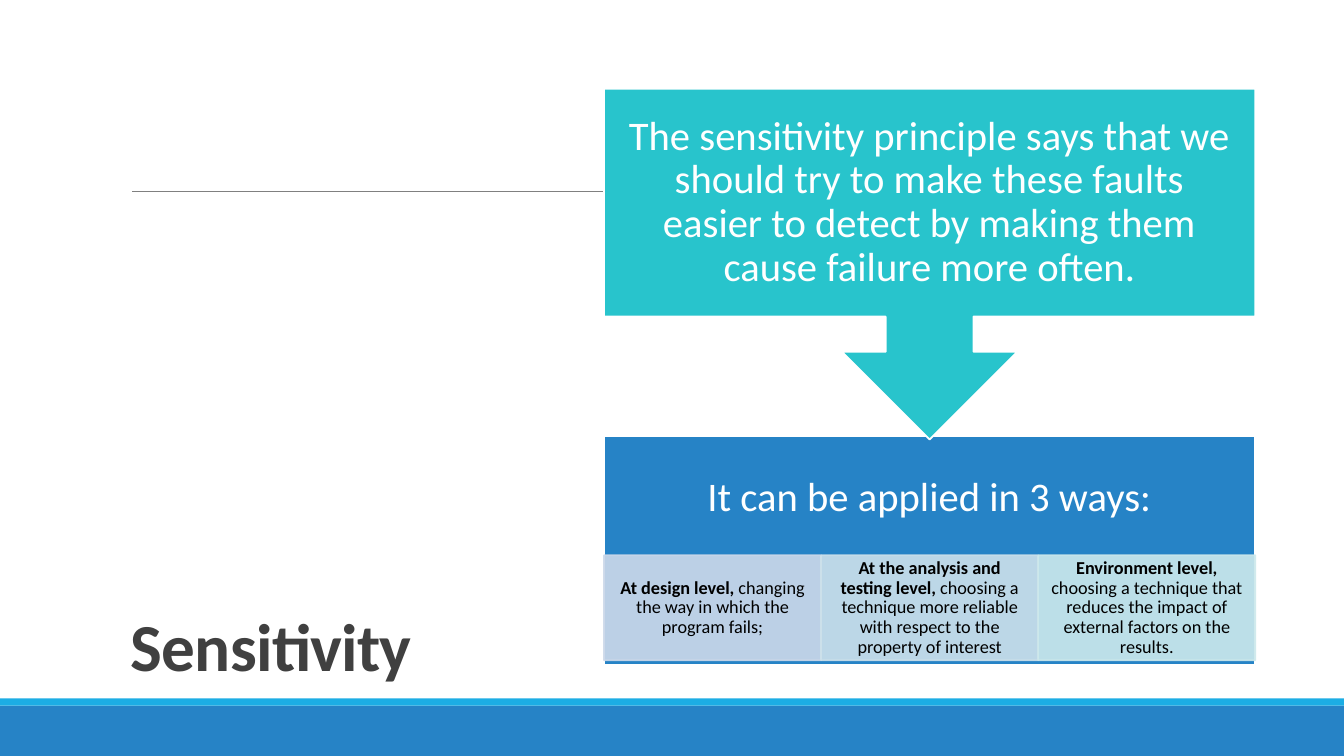
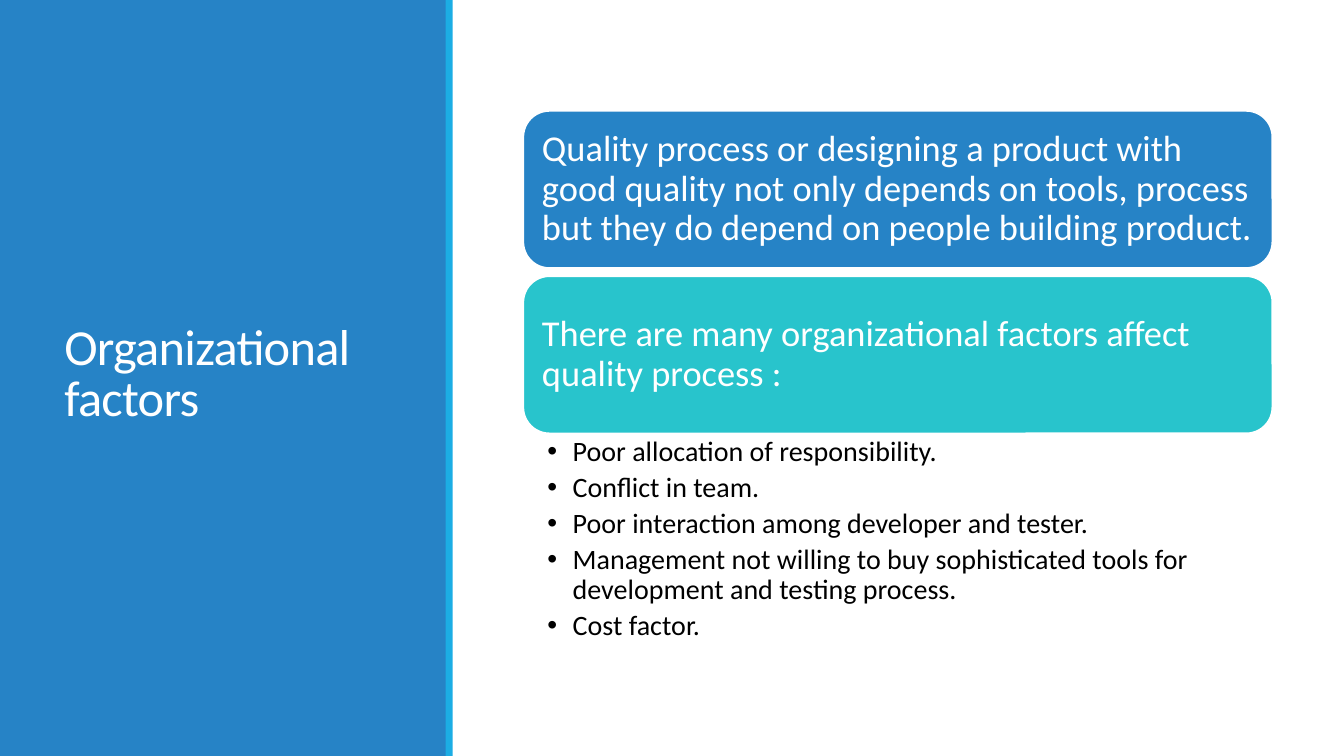
from dataclasses import dataclass
from typing import Optional

from lxml.etree import SubElement
from pptx import Presentation
from pptx.dml.color import RGBColor
from pptx.enum.shapes import MSO_CONNECTOR, MSO_SHAPE
from pptx.enum.text import MSO_ANCHOR, PP_ALIGN
from pptx.oxml.ns import qn
from pptx.util import Inches, Pt

COLORS = {
    "blue": "2683C6",
    "sky": "1CADE4",
    "teal": "28C4CC",
    "white": "FFFFFF",
    "black": "000000",
    "title": "404040",
    "rule": "808080",
    "tile_blue": "CDD9EA",
    "tile_mid": "CDE1EB",
    "tile_teal": "CDE9EC",
}
FONT = "Calibri"
SLIDE_WIDTH, SLIDE_HEIGHT = 13.33, 7.5
ACCENT = 0.07  # thickness of the sky-blue strip beside each band


@dataclass
class Box:
    left: float
    top: float
    width: float
    height: float

    def lengths(self):
        return [Inches(value) for value in (self.left, self.top, self.width, self.height)]


@dataclass
class TextStyle:
    size: float
    color: str = "white"
    align: PP_ALIGN = PP_ALIGN.LEFT
    anchor: MSO_ANCHOR = MSO_ANCHOR.MIDDLE
    insets: tuple = (0.1, 0.05, 0.1, 0.05)  # left, top, right, bottom
    line_spacing: float = 0.9
    character_spacing: int = 0  # hundredths of a point
    space_after: float = 0
    bullet: bool = False


@dataclass
class Span:
    text: str
    bold: bool = False


@dataclass
class Tile:
    color: str
    lead: str
    detail: str


def rgb(name: str) -> RGBColor:
    return RGBColor.from_string(COLORS[name])


def add_bullet(paragraph) -> None:
    properties = paragraph._p.get_or_add_pPr()
    properties.set("marL", str(Inches(0.25)))
    properties.set("indent", str(Inches(-0.25)))
    SubElement(properties, qn("a:buFont"), typeface="Arial")
    SubElement(properties, qn("a:buChar"), char="•")


def write(shape, paragraphs: list[list[Span]], style: TextStyle) -> None:
    frame = shape.text_frame
    frame.word_wrap = True
    frame.vertical_anchor = style.anchor
    (frame.margin_left, frame.margin_top,
     frame.margin_right, frame.margin_bottom) = map(Inches, style.insets)
    for index, spans in enumerate(paragraphs):
        paragraph = frame.add_paragraph() if index else frame.paragraphs[0]
        if style.bullet:
            add_bullet(paragraph)
        paragraph.alignment = style.align
        paragraph.line_spacing = style.line_spacing
        paragraph.space_after = Pt(style.space_after)
        for span in spans:
            run = paragraph.add_run()
            run.text = span.text
            run.font.name = FONT
            run.font.size = Pt(style.size)
            run.font.bold = span.bold
            run.font.color.rgb = rgb(style.color)
            if style.character_spacing:
                run._r.get_or_add_rPr().set("spc", str(style.character_spacing))


def add_text(slide, box: Box, paragraphs: list[list[Span]], style: TextStyle) -> None:
    write(slide.shapes.add_textbox(*box.lengths()), paragraphs, style)


def add_block(slide, box: Box, fill: str, kind=MSO_SHAPE.RECTANGLE,
              line: Optional[str] = None, opacity: int = 100):
    shape = slide.shapes.add_shape(kind, *box.lengths())
    shape.shadow.inherit = False
    shape.fill.solid()
    shape.fill.fore_color.rgb = rgb(fill)
    if line:
        shape.line.color.rgb = rgb(line)
        shape.line.width = Pt(1.25)
    else:
        shape.line.fill.background()
    if opacity < 100:
        for color in shape._element.spPr.iter(qn("a:srgbClr")):
            SubElement(color, qn("a:alpha"), val=str(opacity * 1000))
    return shape


def add_band(slide, band: Box, strip: Box) -> None:
    add_block(slide, band, "blue")
    add_block(slide, strip, "sky")


def add_title(slide, box: Box, text: str, size: float, color: str,
              align: PP_ALIGN, anchor: MSO_ANCHOR, bold: bool = False) -> None:
    style = TextStyle(size, color, align, anchor, line_spacing=0.85, character_spacing=-50)
    add_text(slide, box, [[Span(text, bold)]], style)


def add_rule(slide, left: float, right: float, top: float) -> None:
    rule = slide.shapes.add_connector(
        MSO_CONNECTOR.STRAIGHT, Inches(left), Inches(top), Inches(right), Inches(top))
    rule.line.color.rgb = rgb("rule")
    rule.line.width = Pt(0.5)
    SubElement(rule._element.spPr, qn("a:effectLst"))


TILES = [
    Tile("tile_blue", "At design level, ", "changing the way in which the program fails;"),
    Tile("tile_mid", "At the analysis and testing level, ",
         "choosing a technique more reliable with respect to the property of interest"),
    Tile("tile_teal", "Environment level, ",
         "choosing a technique that reduces the impact of external factors on the results."),
]
CARDS = [
    ("blue", "Quality process or designing a product with good quality not only depends "
             "on tools, process but they do depend on people building product."),
    ("teal", "There are many organizational factors affect quality process :"),
]
FACTORS = [
    "Poor allocation of responsibility.",
    "Conflict in team.",
    "Poor interaction among developer and tester.",
    "Management not willing to buy sophisticated tools for development and testing process.",
    "Cost factor.",
]


def build_sensitivity(slide) -> None:
    # Bottom band, rule and title
    add_band(slide, Box(0, 7, SLIDE_WIDTH, 0.5), Box(0, 7 - ACCENT, SLIDE_WIDTH, ACCENT))
    add_rule(slide, 1.31, 12.21, 1.9)
    add_title(slide, Box(0.63, 0.61, 4.12, 6.24), "Sensitivity", 48, "title",
              PP_ALIGN.CENTER, MSO_ANCHOR.BOTTOM, bold=True)

    # Blue panel: heading above the three tiles
    left, width, pad = 5.99, 6.46, 0.23
    panel = add_block(slide, Box(left, 4.33, width, 2.27), "blue", line="white")
    write(panel, [[Span("It can be applied in 3 ways:")]],
          TextStyle(29, align=PP_ALIGN.CENTER, insets=(pad, pad, pad, 1.28)))

    tile_width = width / len(TILES)
    tile_style = TextStyle(13, "black", PP_ALIGN.CENTER, insets=(0.1, 0.02, 0.1, 0.02))
    for index, tile in enumerate(TILES):
        box = Box(left + index * tile_width, 5.51, tile_width, 1.04)
        shape = add_block(slide, box, tile.color, line=tile.color, opacity=90)
        write(shape, [[Span(tile.lead, True), Span(tile.detail)]], tile_style)

    # Principle, pointing down to the panel
    callout = add_block(slide, Box(left, 0.88, width, 3.48), "teal",
                        MSO_SHAPE.DOWN_ARROW_CALLOUT, "white")
    write(callout, [[Span("The sensitivity principle says that we should try to make these "
                          "faults easier to detect by making them cause failure more often.")]],
          TextStyle(29, align=PP_ALIGN.CENTER, insets=(pad,) * 4))


def build_organizational_factors(slide) -> None:
    # Side band and title
    add_band(slide, Box(0, 0, 4.43, SLIDE_HEIGHT), Box(4.42, 0, ACCENT, SLIDE_HEIGHT))
    add_title(slide, Box(0.54, 0.57, 3.37, 6.31), "Organizational factors", 36, "white",
              PP_ALIGN.LEFT, MSO_ANCHOR.MIDDLE)

    # Rounded cards
    left, width, pitch = 5.19, 7.43, 1.64
    for index, (color, text) in enumerate(CARDS):
        card = add_block(slide, Box(left, 1.1 + index * pitch, width, 1.56), color,
                         MSO_SHAPE.ROUNDED_RECTANGLE, "white")
        write(card, [[Span(text)]], TextStyle(26, insets=(0.11,) * 4))

    # Bulleted factors
    add_text(slide, Box(left, 4.3, width, 2.18), [[Span(factor)] for factor in FACTORS],
             TextStyle(20, "black", anchor=MSO_ANCHOR.TOP, insets=(0.24, 0.04, 0.2, 0.04),
                       space_after=4, bullet=True))


def main() -> None:
    presentation = Presentation()
    presentation.slide_width = Inches(SLIDE_WIDTH)
    presentation.slide_height = Inches(SLIDE_HEIGHT)
    blank = presentation.slide_layouts[6]
    for build in (build_sensitivity, build_organizational_factors):
        build(presentation.slides.add_slide(blank))
    presentation.save("out.pptx")


if __name__ == "__main__":
    main()
